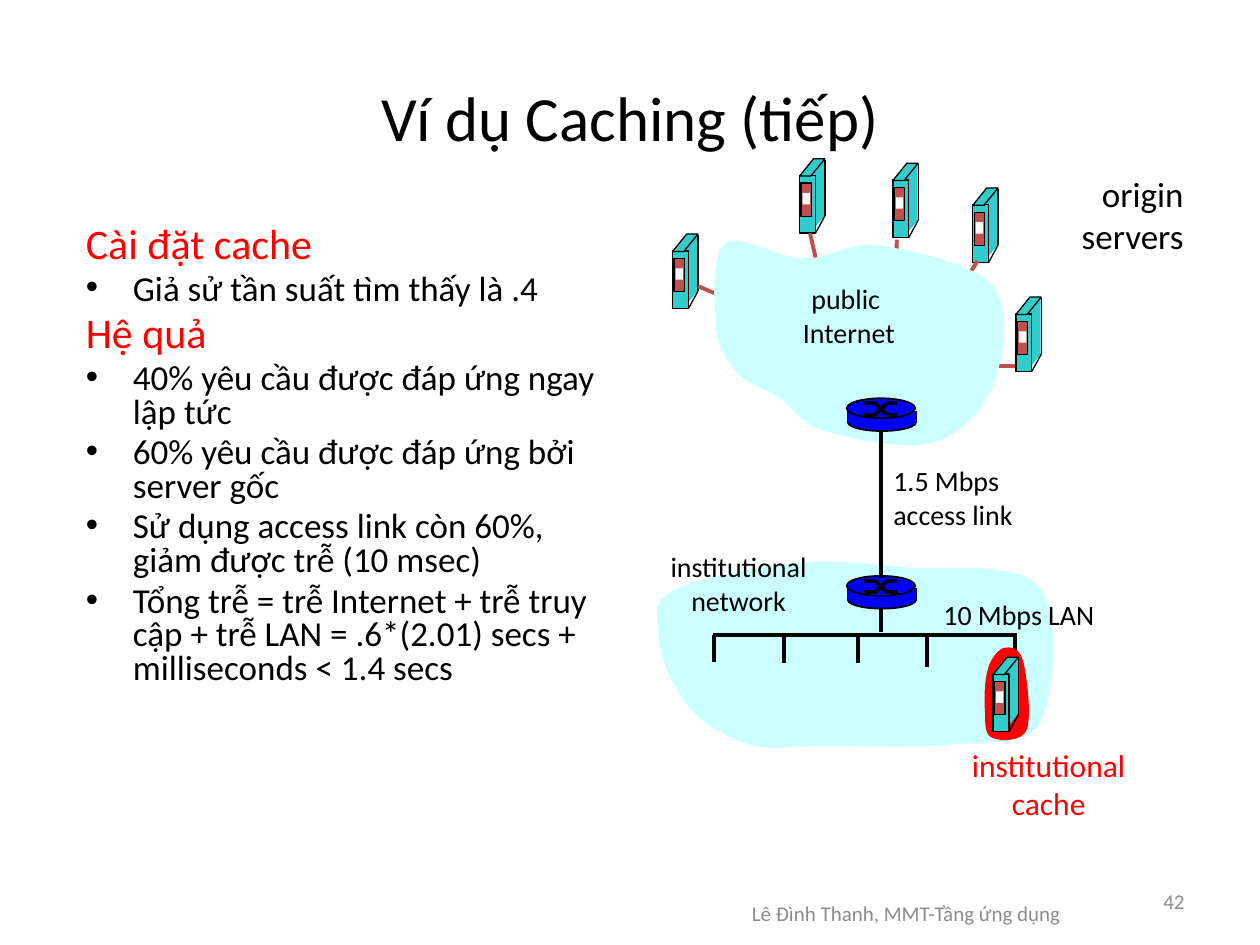
from lxml.etree import SubElement
from pptx import Presentation
from pptx.dml.color import RGBColor
from pptx.enum.shapes import MSO_CONNECTOR as CONN, MSO_SHAPE as SHAPE
from pptx.enum.text import MSO_ANCHOR as ANCHOR, PP_ALIGN as ALIGN
from pptx.oxml.ns import qn
from pptx.util import Cm, Pt

COLORS = {"black": "000000", "red": "FF0000", "gray": "8C8C8C", "brick": "C0504D",
          "teal": "33CCCC", "white": "FFFFFF", "blue": "0000FF", "cloud": "CCFFFF"}

BODY = [("Cài đặt cache", False),
        ("Giả sử tần suất tìm thấy là .4", True),
        ("Hệ quả", False),
        ("40% yêu cầu được đáp ứng ngay lập tức", True),
        ("60% yêu cầu được đáp ứng bởi server gốc", True),
        ("Sử dụng access link còn 60%, giảm được trễ (10 msec)", True),
        ("Tổng trễ = trễ Internet + trễ truy cập + trễ LAN = .6*(2.01) secs "
         "+ milliseconds < 1.4 secs", True)]

ORIGIN_SERVERS = [(13.56, 4.72), (16.12, 3.2), (18, 3.29), (19.61, 3.79), (20.48, 5.99)]
SERVER_LINKS = [(14.07, 5.77, 14.86, 6.1), (16.33, 4.7, 16.51, 5.49),
                (18.08, 4.83, 18.06, 5.49), (19.71, 5.26, 19.33, 5.84),
                (20.47, 7.38, 19.79, 7.38)]
LAN_Y = 12.8
LAN_DROPS = [(14.4, 13.34), (15.8, 13.36), (17.3, 13.36), (18.69, 13.44), (20.47, 13.41)]

INTERNET = [(14.43, 6.43), (14.38, 5.97), (14.35, 5.11), (14.63, 4.9),
            (14.94, 4.7), (15.67, 5.21), (16.21, 5.21),
            (16.71, 5.23), (17.12, 4.85), (17.75, 4.95),
            (18.39, 5.05), (19.63, 5.31), (20.02, 5.77),
            (20.37, 6.22), (20.24, 7.19), (20.04, 7.72),
            (19.84, 8.23), (19.38, 8.76), (18.82, 8.92),
            (18.24, 9.09), (17.15, 8.84), (16.64, 8.69),
            (16.13, 8.56), (16.05, 8.26), (15.75, 8.05),
            (15.47, 7.85), (15.09, 7.77), (14.86, 7.52),
            (14.63, 7.24), (14.4, 6.86), (14.43, 6.43)]
INSTITUTION = [(13.28, 12.73), (13.23, 12.32), (13.16, 12.12), (13.59, 11.89),
               (14.05, 11.66), (15.24, 11.43), (16, 11.35),
               (16.76, 11.28), (17.35, 11.35), (18.19, 11.43),
               (19, 11.51), (20.45, 11.28), (20.93, 11.81),
               (21.39, 12.32), (21.26, 14.02), (20.98, 14.55),
               (20.68, 15.06), (19.91, 14.94), (19.18, 15.01),
               (18.47, 15.09), (17.27, 15.04), (16.59, 15.04),
               (15.9, 15.04), (15.57, 15.14), (15.11, 15.01),
               (14.66, 14.88), (14.2, 14.63), (13.89, 14.25),
               (13.59, 13.87), (13.28, 13.34), (13.28, 12.73)]
HALO = [(19.91, 13.51), (19.96, 13.28), (20.14, 13.08), (20.24, 13.06),
        (20.37, 13.03), (20.55, 13.06), (20.62, 13.31),
        (20.7, 13.59), (20.8, 14.43), (20.7, 14.71),
        (20.6, 14.96), (20.17, 14.94), (20.02, 14.88),
        (19.86, 14.83), (19.86, 14.63), (19.86, 14.4),
        (19.84, 14.17), (19.84, 13.74), (19.91, 13.51)]


def rgb(color):
    """Return the named colour."""
    return RGBColor.from_string(COLORS[color])


def paint(sp, fill, line=None):
    """Fill a shape and outline it in black when a width is given."""
    sp.shadow.inherit = False
    sp.fill.solid()
    sp.fill.fore_color.rgb = rgb(fill)
    if line:
        sp.line.color.rgb = rgb("black")
        sp.line.width = Pt(line)
    else:
        sp.line.fill.background()


def add_part(shapes, kind, box, fill, line=None):
    """Add a preset shape."""
    sp = shapes.add_shape(kind, *map(Cm, box))
    if kind == SHAPE.PARALLELOGRAM:
        sp.adjustments[0] = 0.81
    paint(sp, fill, line)


def add_line(shapes, ends, width=2.25, color="black"):
    """Add a straight line."""
    cxn = shapes.add_connector(CONN.STRAIGHT, *map(Cm, ends))
    cxn.line.color.rgb = rgb(color)
    cxn.line.width = Pt(width)
    SubElement(cxn._element.spPr, qn("a:effectLst"))


def add_blob(shapes, points, fill):
    """Add a closed outline of cubic curves, three points to a curve."""
    start, *rest = [(Cm(x), Cm(y)) for x, y in points]
    builder = shapes.build_freeform(*start)
    builder.add_line_segments(rest, close=True)
    sp = builder.convert_to_shape()
    segments = list(sp._element.iter(qn("a:lnTo")))
    for i in range(0, len(segments), 3):
        curve = segments[i]
        curve.tag = qn("a:cubicBezTo")
        for segment in segments[i + 1:i + 3]:
            curve.append(segment[0])
            segment.getparent().remove(segment)
    paint(sp, fill)


def add_server(shapes, x, y):
    """Add a server tower with its top left corner at x, y."""
    for kind, (dx, dy, w, h), fill, line in [
            (SHAPE.PARALLELOGRAM, (0, 1.14, 0.51, 0.35), "teal", None),
            (SHAPE.RECTANGLE, (0.26, 0.01, 0.24, 1.16), "teal", None),
            (SHAPE.RECTANGLE, (0, 0.34, 0.32, 1.16), "teal", 0.75),
            (SHAPE.PARALLELOGRAM, (0, 0, 0.51, 0.35), "teal", 0.75),
            (SHAPE.RECTANGLE, (0.03, 0.49, 0.21, 0.67), "brick", 0.75),
            (SHAPE.RECTANGLE, (0.06, 0.69, 0.15, 0.23), "white", None)]:
        add_part(shapes, kind, (x + dx, y + dy, w, h), fill, line)
    add_line(shapes, (x + 0.51, y + 0.02, x + 0.51, y + 1.15), 0.75)
    add_line(shapes, (x + 0.51, y + 1.15, x + 0.32, y + 1.5), 0.75)


def add_router(shapes, x, y):
    """Add a router disc with its crossed arms."""
    add_part(shapes, SHAPE.OVAL, (x + 0.02, y + 0.3, 1.38, 0.36), "blue", 1)
    for dx in (0.02, 1.4):
        add_line(shapes, (x + dx, y + 0.25, x + dx, y + 0.48), 1)
    add_part(shapes, SHAPE.RECTANGLE, (x + 0.02, y + 0.26, 1.38, 0.23), "blue")
    add_part(shapes, SHAPE.OVAL, (x, y, 1.38, 0.4), "blue", 1)
    for start, end in ((0.1, 0.33), (0.33, 0.1)):
        add_line(shapes, (x + 0.33, y + start, x + 0.57, y + start))
        add_line(shapes, (x + 0.57, y + start, x + 0.81, y + end))
        add_line(shapes, (x + 0.81, y + end, x + 1.02, y + end))


def add_run(p, text, size, color):
    """Add a formatted run to a paragraph."""
    r = p.add_run()
    r.text = text
    r.font.name = "Calibri"
    r.font.size = Pt(size)
    r.font.color.rgb = rgb(color)


def add_text(s, box, lines, size, color="black", align=ALIGN.CENTER, anchor=ANCHOR.TOP):
    """Add a text box with one paragraph a line."""
    tf = s.shapes.add_textbox(*map(Cm, box)).text_frame
    tf.word_wrap = True
    tf.vertical_anchor = anchor
    for i, text in enumerate(lines):
        p = tf.add_paragraph() if i else tf.paragraphs[0]
        p.alignment = align
        add_run(p, text, size, color)


def add_body(s):
    """Add the headings and their bullets."""
    tf = s.shapes.add_textbox(Cm(1.48), Cm(4.45), Cm(11), Cm(12.9)).text_frame
    tf.word_wrap = True
    for i, (text, bullet) in enumerate(BODY):
        p = tf.add_paragraph() if i else tf.paragraphs[0]
        pPr = p._p.get_or_add_pPr()
        pPr.set("marL", str(Cm(0.95)))
        pPr.set("indent", str(-Cm(0.95)))
        if bullet:
            SubElement(pPr, qn("a:buFont"), typeface="Arial")
            SubElement(pPr, qn("a:buChar"), char="•")
        size = 20 if bullet else 24
        p.line_spacing = 0.8
        if i:
            p.space_before = Pt(size * 0.2)
        add_run(p, text, size, "black" if bullet else "red")


def add_title(s):
    """Place and format the title."""
    sp = s.shapes.title
    sp.left, sp.top, sp.width, sp.height = map(Cm, (1.27, 0.76, 22.86, 3.18))
    sp.text_frame.vertical_anchor = ANCHOR.MIDDLE
    p = sp.text_frame.paragraphs[0]
    p.alignment = ALIGN.CENTER
    add_run(p, "Ví dụ Caching (tiếp)", 36, "black")


def add_network(s):
    """Draw the servers, clouds, routers and links."""
    shapes = s.shapes
    for x, y in ORIGIN_SERVERS:
        add_server(shapes.add_group_shape().shapes, x, y)
    for ends in SERVER_LINKS:
        add_line(shapes, ends, color="brick")
    add_blob(shapes, INTERNET, "cloud")
    add_router(shapes.add_group_shape().shapes, 17.07, 8.03)
    add_blob(shapes, INSTITUTION, "cloud")
    add_line(shapes, (14.38, LAN_Y, 20.5, LAN_Y))
    for x, bottom in LAN_DROPS:
        add_line(shapes, (x, LAN_Y, x, bottom))
    cache = shapes.add_group_shape().shapes
    add_blob(cache, HALO, "red")
    add_server(cache, 20.02, 13.25)
    add_router(shapes.add_group_shape().shapes, 17.07, 11.61)
    for top, bottom in ((8.71, 11.66), (12.27, 12.75)):
        add_line(shapes, (17.76, top, 17.76, bottom))


def main():
    """Build the slide."""
    prs = Presentation()
    prs.slide_width, prs.slide_height = Cm(25.4), Cm(19.05)
    s = prs.slides.add_slide(prs.slide_layouts[5])
    add_title(s)
    add_body(s)
    add_network(s)
    add_text(s, (21.11, 3.35, 3, 1.96), ["origin", "servers"], 20, align=ALIGN.RIGHT)
    add_text(s, (15.55, 5.56, 3, 1.63), ["public", " Internet"], 16)
    add_text(s, (13.05, 10.96, 3.68, 1.63), ["institutional", "network"], 16)
    add_text(s, (18.52, 11.93, 4.04, 0.94), ["10 Mbps LAN"], 16)
    add_text(s, (17.76, 9.22, 3.33, 1.63), ["1.5 Mbps", "access link"], 16, align=ALIGN.LEFT)
    add_text(s, (19.11, 14.91, 4.06, 1.78), ["institutional", "cache"], 18, "red")
    add_text(s, (13.47, 17.78, 9.6, 1.27), ["Lê Đình Thanh, MMT-Tầng ứng dụng"], 12, "gray",
             anchor=ANCHOR.MIDDLE)
    add_text(s, (18.21, 17.65, 5.92, 1.02), ["42"], 12, "gray", ALIGN.RIGHT, ANCHOR.MIDDLE)
    prs.save("out.pptx")


if __name__ == "__main__":
    main()
